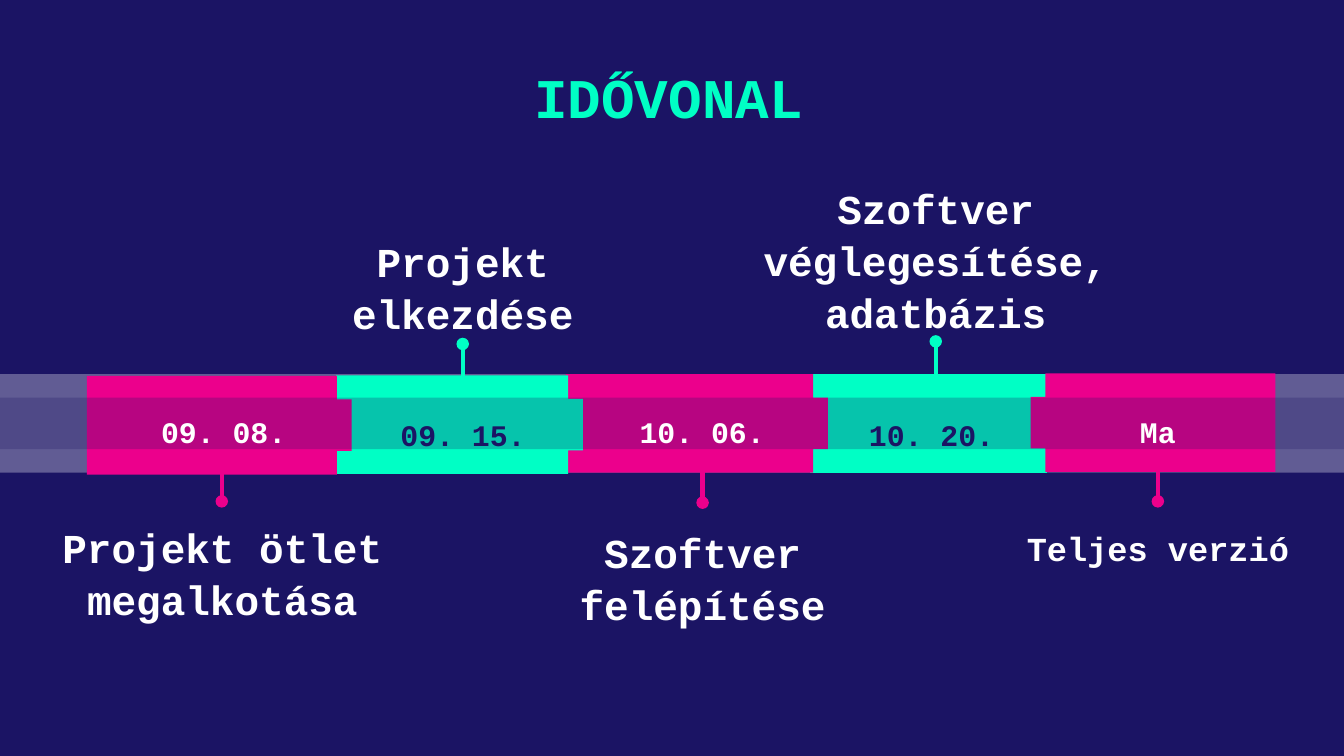
import pptx
import pptx.util
import pptx.dml.color
import pptx.enum.text
import pptx.enum.shapes
import lxml.etree

Pt = pptx.util.Pt
FONT = "Courier New"
HEX = {"navy": "1B1464", "mint": "00FFC5", "pink": "EC008C", "white": "FFFFFF"}
NS = "http://schemas.openxmlformats.org/drawingml/2006/main"
BAR, RIM, TAB = 52.8, 12.6, 7.9  # band height, rim of a segment, tab depth


def tint(name):
    return pptx.dml.color.RGBColor.from_string(HEX[name])


def node(base, tag, **attrs):
    return lxml.etree.SubElement(base, f"{{{NS}}}{tag}", **attrs)


def paint(shape, name, alpha=None):
    shape.shadow.inherit = False
    shape.fill.solid()
    shape.fill.fore_color.rgb = tint(name)
    shape.line.fill.background()
    if alpha:
        color = shape.fill._xPr.find(f".//{{{NS}}}srgbClr")
        node(color, "alpha", val=str(alpha * 1000))


def write(slide, box, text, size, name, pad=0, space=1.0, mid=False):
    frame = slide.shapes.add_textbox(*map(Pt, box)).text_frame
    frame.word_wrap = True
    frame.margin_left = frame.margin_right = Pt(7.2)
    frame.margin_top = frame.margin_bottom = Pt(pad)
    anchor = pptx.enum.text.MSO_ANCHOR
    frame.vertical_anchor = anchor.MIDDLE if mid else anchor.TOP
    para = frame.paragraphs[0]
    para.text = text
    para.alignment = pptx.enum.text.PP_ALIGN.CENTER
    para.line_spacing = space
    para.font.name, para.font.size, para.font.bold = FONT, Pt(size), True
    para.font.color.rgb = tint(name)


def strip(slide, left, top, wide, high, name, alpha):
    kind = pptx.enum.shapes.MSO_SHAPE.RECTANGLE
    bar = slide.shapes.add_shape(kind, Pt(left), Pt(top), Pt(wide), Pt(high))
    paint(bar, name, alpha)


def segment(slide, left, top, wide, name, tab):
    """Draw a block whose tab sticks out right (1), left (-1) or not (0)."""
    near, far = (left, left + wide) if tab >= 0 else (left + wide, left)
    points = [(near, top), (near, top + BAR), (far, top + BAR)]
    if tab:
        tip = far + tab * TAB
        low, high = top + BAR - RIM, top + RIM
        points += [(far, low), (tip, low), (tip, high), (far, high)]
    points.append((far, top))
    points = [(Pt(x), Pt(y)) for x, y in points]
    path = slide.shapes.build_freeform(*points[0])
    path.add_line_segments(points[1:], close=True)
    paint(path.convert_to_shape(), name)


def pin(slide, x, start, end, name):
    kind = pptx.enum.shapes.MSO_CONNECTOR.STRAIGHT
    stem = slide.shapes.add_connector(kind, Pt(x), Pt(start), Pt(x), Pt(end))
    stem.line.color.rgb = tint(name)
    stem.line.width = Pt(2.25)
    node(stem.line._get_or_add_ln(), "headEnd", type="oval")
    node(stem._element.spPr, "effectLst")


def band(slide, left, top, wide):
    strip(slide, left, top, wide, BAR, "white", 31)
    # Later blocks cover the tabs of earlier ones
    for x, y, w, name, tab in [
        (434.2, 0, 126.6, "mint", 0),
        (303.1, 0, 132.5, "pink", 1),
        (180, 0.7, 124.4, "mint", 1),
        (46.6, 1, 133.9, "pink", 1),
        (560, -0.4, 123.3, "pink", -1),
    ]:
        segment(slide, left + x, top + y, w, name, tab)
    strip(slide, left, top + RIM, wide, BAR - 2 * RIM, "navy", 25)


def dates(slide, left, top):
    for x, y, text, name in [
        (0, 0, "09. 08.", "white"),
        (128.2, 1.4, "09. 15.", "navy"),
        (256.3, 0, "10. 06.", "white"),
        (379.2, 1.4, "10. 20.", "navy"),
        (500.4, 0, "Ma", "white"),
    ]:
        box = (left + x, top + y, 123.1, 28.1)
        write(slide, box, text, 16, name, 7.2, 1.15)


def labels(slide):
    for mid, top, wide, text, size in [
        (119.1, 278.6, 212.4, "Projekt ötlet megalkotása", 22),
        (247.9, 125.3, 166.3, "Projekt elkezdése", 22),
        (376.4, 281.5, 166.3, "Szoftver felépítése", 22),
        (501.3, 97.2, 206.6, "Szoftver véglegesítése, adatbázis", 22),
        (620.3, 281.5, 166.3, "Teljes verzió", 18),
    ]:
        box = (mid - wide / 2, top, wide, 28.1)
        write(slide, box, text, size, "white", space=1.05)


def pins(slide):
    for x, start, step, name in [
        (118.8, 268.6, -18, "pink"),
        (247.9, 184.3, 18, "mint"),
        (376.4, 269.3, -18, "pink"),
        (501.3, 182.9, 18, "mint"),
        (620.3, 268.6, -18, "pink"),
    ]:
        pin(slide, x, start, start + step, name)


def main():
    deck = pptx.Presentation()
    deck.slide_width, deck.slide_height = Pt(720), Pt(405)
    slide = deck.slides.add_slide(deck.slide_layouts[6])
    slide.background.fill.solid()
    slide.background.fill.fore_color.rgb = tint("navy")
    band(slide, 0, 200.4, 720)
    labels(slide)
    write(slide, (90, 25.2, 518.4, 52.6), " IDŐVONAL", 30, "mint", 7.2, mid=True)
    dates(slide, 58.3, 211.7)
    pins(slide)
    deck.save("out.pptx")


if __name__ == "__main__":
    main()
